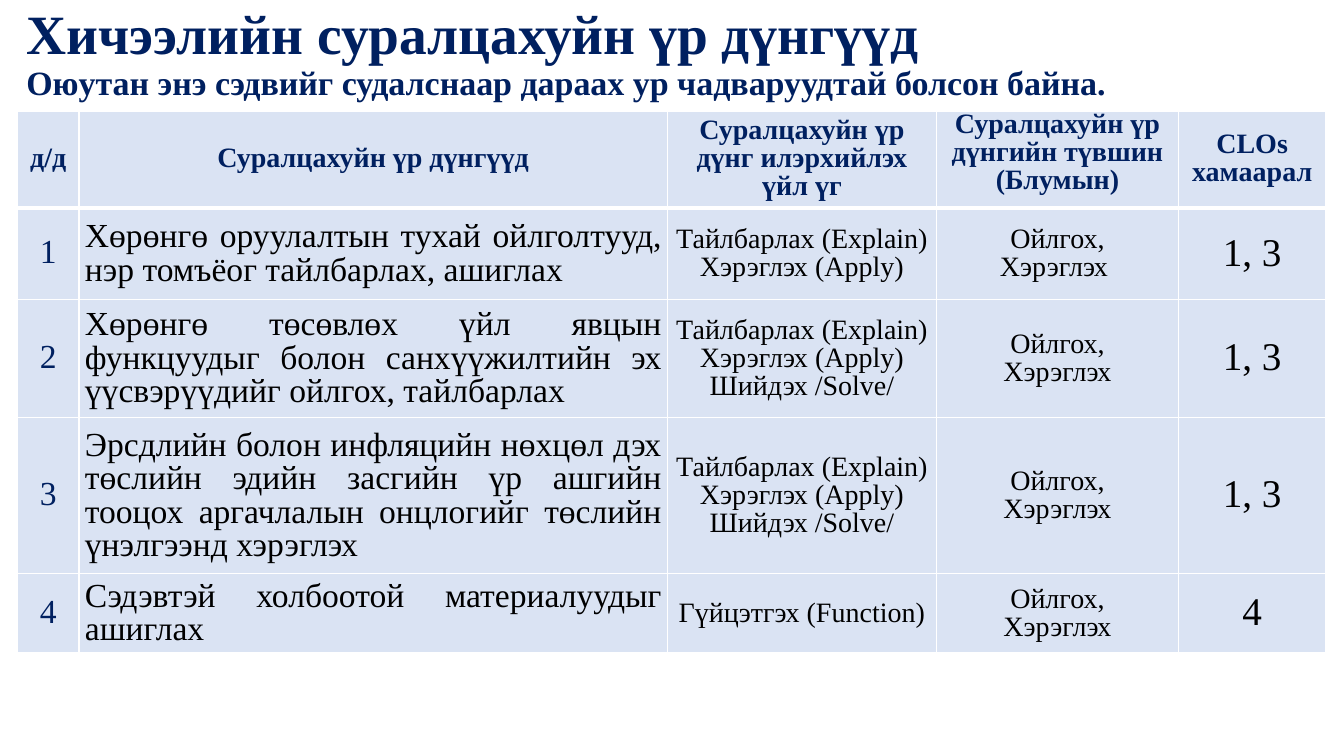
from dataclasses import dataclass

from lxml.etree import SubElement
from pptx import Presentation
from pptx.dml.color import RGBColor
from pptx.enum.text import MSO_ANCHOR as Anchor, MSO_AUTO_SIZE as AutoSize, PP_ALIGN as Align
from pptx.oxml.ns import qn
from pptx.util import Cm, Pt

COLORS = {"navy": "002060", "black": "000000", "pale": "DAE3F3", "white": "FFFFFF"}
FONT = "Times New Roman"
COLUMN_WIDTHS = [1.55, 14.83, 6.78, 6.1, 3.71]
ROW_HEIGHTS = [2.44, 2.31, 2.97, 3.94, 1.98]
HEADINGS = [
    "д/д",
    "Суралцахуйн үр дүнгүүд",
    "Суралцахуйн үр дүнг илэрхийлэх үйл үг",
    "Суралцахуйн үр дүнгийн түвшин\n(Блумын)",
    "CLOs хамаарал",
]


@dataclass
class Outcome:
    description: str
    verbs: str
    level: str
    clos: str


@dataclass
class ColumnStyle:
    size: float
    color: str = "black"
    align: Align = Align.CENTER
    side_inset: float = 0.15
    top_inset: float = 0.03


EXPLAIN_APPLY = "Тайлбарлах (Explain)\nХэрэглэх (Apply)"
SOLVE_TOO = EXPLAIN_APPLY + "\nШийдэх /Solve/"
LEVEL = "Ойлгох,\nХэрэглэх"
OUTCOMES = [
    Outcome("Хөрөнгө оруулалтын тухай ойлголтууд, нэр томъёог тайлбарлах, ашиглах",
            EXPLAIN_APPLY, LEVEL + " ", "1, 3"),
    Outcome("Хөрөнгө төсөвлөх үйл явцын функцуудыг болон санхүүжилтийн эх "
            "үүсвэрүүдийг ойлгох, тайлбарлах", SOLVE_TOO, LEVEL, "1, 3"),
    Outcome("Эрсдлийн болон инфляцийн нөхцөл дэх төслийн эдийн засгийн үр ашгийн "
            "тооцох аргачлалын онцлогийг төслийн үнэлгээнд хэрэглэх", SOLVE_TOO, LEVEL, "1, 3"),
    Outcome("Сэдэвтэй холбоотой материалуудыг ашиглах", "Гүйцэтгэх (Function)", LEVEL, "4"),
]
HEADING_STYLE = ColumnStyle(20, "navy", side_inset=0.2, top_inset=0)
BODY_STYLES = [
    ColumnStyle(24, "navy", side_inset=0.2, top_inset=0),
    ColumnStyle(24, align=Align.JUSTIFY),
    ColumnStyle(20),
    ColumnStyle(20),
    ColumnStyle(28),
]


def add_text(paragraph, text: str, *, size: float, color: str, bold: bool = False,
             align: Align = Align.CENTER) -> None:
    paragraph.alignment = align
    paragraph.line_spacing = 0.9
    run = paragraph.add_run()
    run.text = text
    run.font.name = FONT
    run.font.size = Pt(size)
    run.font.bold = bold
    run.font.color.rgb = RGBColor.from_string(COLORS[color])


def add_borders(cell, top: float, bottom: float) -> None:
    properties = cell._tc.get_or_add_tcPr()
    for side, width in {"L": 1, "R": 1, "T": top, "B": bottom}.items():
        line = SubElement(properties, qn(f"a:ln{side}"), w=str(Pt(width)))
        fill = SubElement(line, qn("a:solidFill"))
        SubElement(fill, qn("a:srgbClr"), val=COLORS["white"])


def fill_cell(cell, text: str, style: ColumnStyle, row: int) -> None:
    add_borders(cell, top=3 if row == 1 else 1, bottom=3 if row == 0 else 1)
    cell.fill.solid()
    cell.fill.fore_color.rgb = RGBColor.from_string(COLORS["pale"])
    cell.margin_left = cell.margin_right = Cm(style.side_inset)
    cell.margin_top, cell.margin_bottom = Cm(style.top_inset), 0
    cell.vertical_anchor = Anchor.MIDDLE
    frame = cell.text_frame
    for index, line in enumerate(text.split("\n")):
        paragraph = frame.add_paragraph() if index else frame.paragraphs[0]
        add_text(paragraph, line, size=style.size, color=style.color,
                 bold=row == 0, align=style.align)


def add_title(slide) -> None:
    title = slide.shapes.title
    title.left, title.top, title.width, title.height = Cm(0.41), Cm(0.56), Cm(32.99), Cm(1.65)
    frame = title.text_frame
    frame.auto_size = AutoSize.NONE
    frame.word_wrap = True
    frame.vertical_anchor = Anchor.MIDDLE
    heading = frame.paragraphs[0]
    look = {"color": "navy", "bold": True, "align": Align.LEFT}
    add_text(heading, "Хичээлийн суралцахуйн үр дүнгүүд ", size=39.6, **look)
    heading.add_line_break()
    add_text(heading, "Оюутан энэ сэдвийг судалснаар дараах ур чадваруудтай болсон байна.",
             size=24.3, **look)


def add_outcome_table(slide) -> None:
    table = slide.shapes.add_table(
        len(ROW_HEIGHTS), len(COLUMN_WIDTHS), Cm(0.44), Cm(2.8),
        Cm(sum(COLUMN_WIDTHS)), Cm(sum(ROW_HEIGHTS))).table
    table.horz_banding = False
    for column, width in zip(table.columns, COLUMN_WIDTHS):
        column.width = Cm(width)
    for table_row, height in zip(table.rows, ROW_HEIGHTS):
        table_row.height = Cm(height)

    # Heading row; the level heading sits at the top of its cell
    for column, heading in enumerate(HEADINGS):
        fill_cell(table.cell(0, column), heading, HEADING_STYLE, 0)
    table.cell(0, 3).vertical_anchor = Anchor.TOP

    # One numbered row per outcome
    for row, outcome in enumerate(OUTCOMES, start=1):
        texts = [str(row), outcome.description, outcome.verbs, outcome.level, outcome.clos]
        for column, (text, style) in enumerate(zip(texts, BODY_STYLES)):
            fill_cell(table.cell(row, column), text, style, row)


def main() -> None:
    presentation = Presentation()
    presentation.slide_width, presentation.slide_height = Cm(33.87), Cm(19.05)
    slide = presentation.slides.add_slide(presentation.slide_layouts[5])
    add_title(slide)
    add_outcome_table(slide)
    presentation.save("out.pptx")


if __name__ == "__main__":
    main()
